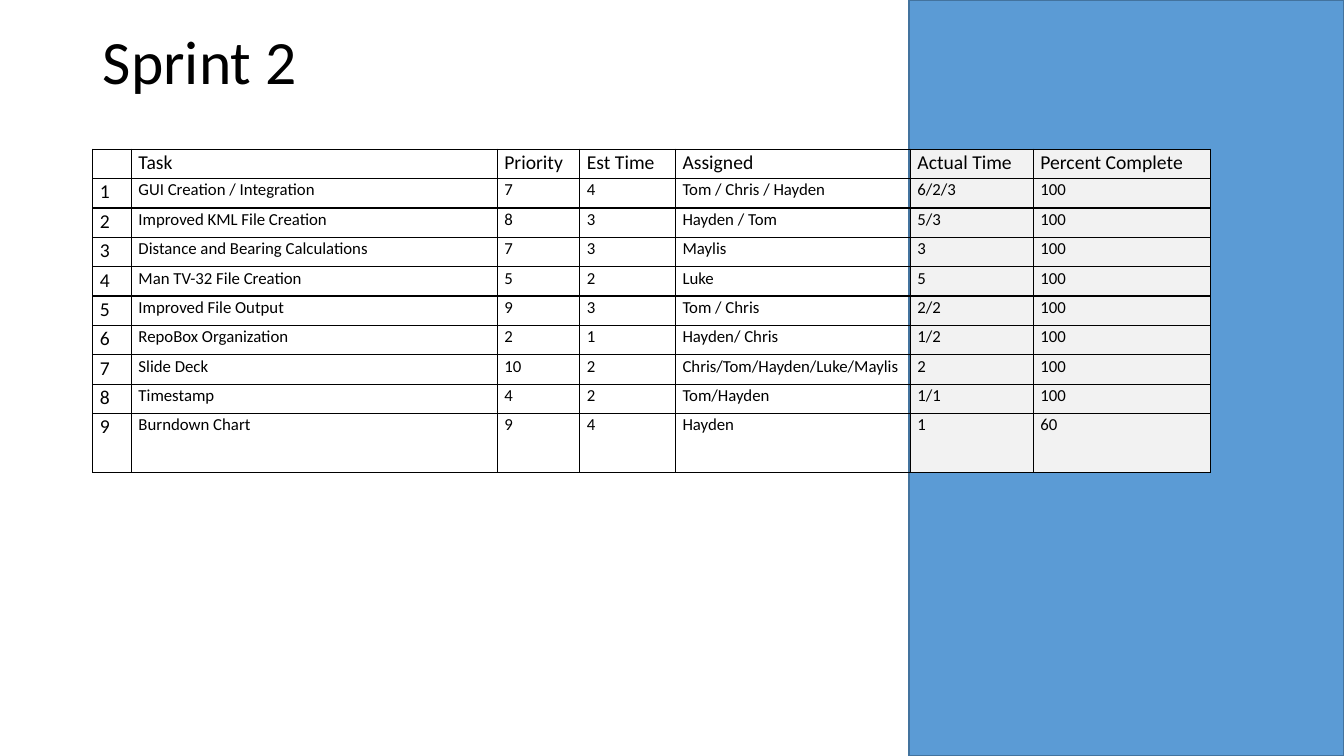
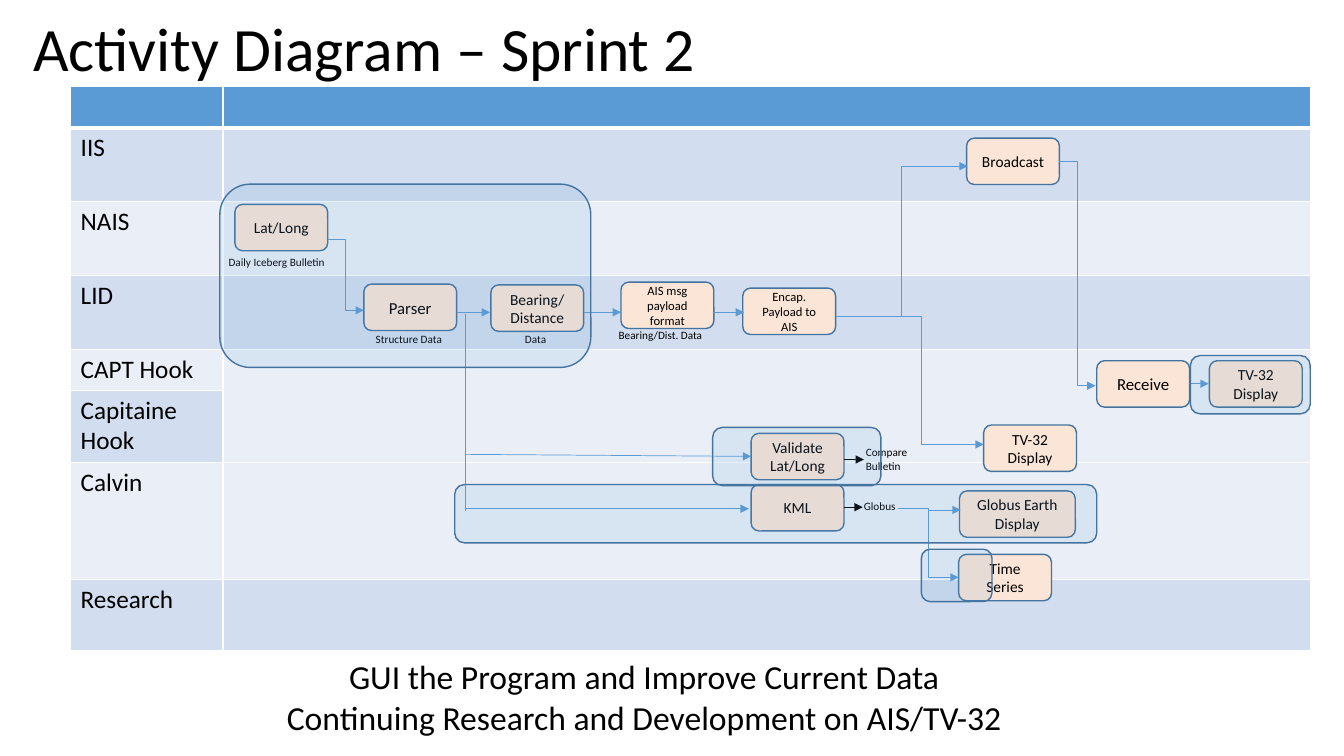
"""Build the two Sprint 2 slides: a task table and an activity diagram."""
from lxml.etree import SubElement
from pptx import Presentation
from pptx.dml.color import RGBColor
from pptx.enum.shapes import MSO_CONNECTOR, MSO_SHAPE
from pptx.enum.text import MSO_ANCHOR, PP_ALIGN
from pptx.oxml.ns import qn
from pptx.util import Cm, Pt

COLORS = {
    "text": "000000",
    "white": "FFFFFF",
    "blue": "5B9BD5",
    "outline": "43739E",
    "grey": "F2F2F2",
    "lane_dark": "D2DEEF",
    "lane_light": "EAEFF7",
    "node": "FBE5D6",
}
FONT = "Calibri"
SLIDE_W, SLIDE_H = 33.87, 19.05

TASK_COLS = [0.97, 9.22, 2.08, 2.41, 5.92, 3.1, 4.47]
TASK_ROW_H = 0.74
TASKS = [
    ("", "Task", "Priority", "Est Time", "Assigned", "Actual Time", "Percent Complete"),
    ("1", "GUI Creation / Integration", "7", "4", "Tom / Chris / Hayden", "6/2/3", "100"),
    ("2", "Improved KML File Creation", "8", "3", "Hayden / Tom", "5/3", "100"),
    ("3", "Distance and Bearing Calculations", "7", "3", "Maylis", "3", "100"),
    ("4", "Man TV-32 File Creation", "5", "2", "Luke", "5", "100"),
    ("5", "Improved File Output", "9", "3", "Tom / Chris", "2/2", "100"),
    ("6", "RepoBox Organization", "2", "1", "Hayden/ Chris", "1/2", "100"),
    ("7", "Slide Deck", "10", "2", "Chris/Tom/Hayden/Luke/Maylis", "2", "100"),
    ("8", "Timestamp", "4", "2", "Tom/Hayden", "1/1", "100"),
    ("9", "Burndown Chart", "9", "4", "Hayden", "1", "60"),
]

LANE_COLS = [3.84, 27.4]
LANES = [
    ("", 1.04, "blue"),
    ("IIS", 1.86, "lane_dark"),
    ("NAIS", 1.86, "lane_light"),
    ("LID", 1.86, "lane_dark"),
    ("CAPT Hook", 1.03, "lane_light"),
    ("Capitaine Hook", 1.82, "lane_dark"),
    ("Calvin", 2.96, "lane_light"),
    ("Research", 1.78, "lane_dark"),
]

NODE_W, NODE_H = 2.34, 1.17
NODES = [
    ("Lat/Long", 4.14, 2.97, NODE_W, 11),
    ("Parser", 7.39, 4.98, NODE_W, 12),
    ("KML", 17.15, 10.03, NODE_W, 11),
    ("Validate\nLat/Long", 17.15, 8.74, NODE_W, 11),
    ("Broadcast", 22.58, 1.3, NODE_W, 11),
    ("Receive", 25.86, 6.91, NODE_W, 12),
    ("Bearing/\nDistance", 10.59, 5, NODE_W, 11),
    ("Encap. Payload to AIS", 16.94, 5.08, NODE_W, 9),
    ("AIS msg payload format", 13.87, 4.93, NODE_W, 9),
    ("TV-32 Display", 28.7, 6.91, NODE_W, 11),
    ("TV-32 Display", 23.01, 8.53, NODE_W, 11),
    ("Time Series", 22.38, 11.79, NODE_W, 11),
    ("Globus Earth Display", 22.4, 10.19, 2.92, 11),
]
ELBOWS = [
    (6.48, 3.86, 7.39, 5.64),
    (19.28, 5.79, 22.61, 2.01),
    (19.89, 5.79, 23.01, 9.02),
    (24.92, 1.88, 25.83, 7.54),
    (20.85, 10.62, 22.38, 12.37),
]
ARROWS = [
    (9.73, 5.69, 10.57, 5.69),
    (12.93, 5.69, 13.87, 5.69),
    (16.18, 5.69, 16.97, 5.69),
    (28.19, 7.49, 28.68, 7.49),
    (9.96, 10.64, 17.09, 10.64),
    (9.96, 9.27, 17.15, 9.32),
    (21.62, 10.67, 22.43, 10.67),
]
NOTE_ARROWS = [(19.48, 10.6, 19.96, 10.6), (19.48, 9.4, 19.99, 9.4)]
TRUNK = (9.96, 5.72, 9.96, 10.69)
LABELS = [
    ("Compare Bulletin", 19.79, 8.92, 1.65, 0.94),
    ("Globus", 19.74, 10.29, 1.65, 0.6),
    ("Daily Iceberg Bulletin", 3.73, 4.14, 3.07, 0.6),
    ("Structure Data", 7.44, 6.07, 2.21, 0.6),
    ("Data", 11.2, 6.07, 1.47, 0.6),
    ("Bearing/Dist. Data", 13.56, 5.97, 2.62, 0.6),
]
ZONES = [
    (3.76, 2.46, 9.35, 4.62),
    (9.68, 10.03, 16.18, 1.47),
    (16.18, 8.59, 4.24, 1.47),
    (21.44, 11.66, 1.78, 1.32),
    (28.22, 6.78, 3.02, 1.47),
]


def rgb(name):
    """Return a named colour."""
    return RGBColor.from_string(COLORS[name])


def write(tf, text, size, align=PP_ALIGN.LEFT, spacing=None):
    """Fill a text frame with evenly styled paragraphs."""
    tf.text = text
    tf.word_wrap = True
    for p in tf.paragraphs:
        p.alignment = align
        p.line_spacing = spacing
        p.font.name = FONT
        p.font.size = Pt(size)
        p.font.color.rgb = rgb("text")


def add_titled_slide(prs, title, box):
    """Add a slide with the shared title style."""
    s = prs.slides.add_slide(prs.slide_layouts[5])
    sp = s.shapes.title
    sp.left, sp.top, sp.width, sp.height = map(Cm, box)
    sp.text_frame.vertical_anchor = MSO_ANCHOR.MIDDLE
    write(sp.text_frame, title, 44, spacing=0.9)
    return s


def add_box(s, kind, box, fill, opacity=None):
    """Add an outlined shape, optionally see-through."""
    sp = s.shapes.add_shape(kind, *map(Cm, box))
    sp.shadow.inherit = False
    sp.fill.solid()
    sp.fill.fore_color.rgb = rgb(fill)
    sp.line.color.rgb = rgb("outline")
    sp.line.width = Pt(1)
    if opacity:
        clr = sp.fill._xPr.find(qn("a:solidFill"))[0]
        SubElement(clr, qn("a:alpha"), val=str(opacity * 1000))
    return sp


def add_text(s, text, box, size, align=PP_ALIGN.LEFT):
    """Add a wrapped text box."""
    write(s.shapes.add_textbox(*map(Cm, box)).text_frame, text, size, align)


def add_line(s, origin, ends, color="blue", kind=MSO_CONNECTOR.STRAIGHT, arrow=True):
    """Add a thin connector, its ends relative to the origin."""
    x, y = origin
    x1, y1, x2, y2 = ends
    line = s.shapes.add_connector(kind, Cm(x + x1), Cm(y + y1), Cm(x + x2), Cm(y + y2))
    line.line.color.rgb = rgb(color)
    line.line.width = Pt(0.5)
    if arrow:
        SubElement(line.line._get_or_add_ln(), qn("a:tailEnd"), type="triangle")
    SubElement(line._element.spPr, qn("a:effectLst"))


def style_cell(cell, border, fill=None, bottom=1):
    """Set the borders and the fill of a table cell."""
    tcPr = cell._tc.get_or_add_tcPr()
    for side, width in (("L", 1), ("R", 1), ("T", 1), ("B", bottom)):
        ln = SubElement(tcPr, qn(f"a:ln{side}"), w=str(Pt(width)))
        SubElement(SubElement(ln, qn("a:solidFill")), qn("a:srgbClr"), val=COLORS[border])
    if fill:
        cell.fill.solid()
        cell.fill.fore_color.rgb = rgb(fill)
    else:
        cell.fill.background()


def add_grid(s, left, top, cols, rows):
    """Add a plain table with the given column and row sizes."""
    frame = s.shapes.add_table(len(rows), len(cols), Cm(left), Cm(top),
                               Cm(sum(cols)), Cm(sum(rows)))
    table = frame.table
    table.first_row = table.horz_banding = False
    for col, width in zip(table.columns, cols):
        col.width = Cm(width)
    for row, height in zip(table.rows, rows):
        row.height = Cm(height)
    return table


def add_task_table(s, left, top):
    """Add the sprint task table."""
    rows = [TASK_ROW_H] * (len(TASKS) - 1) + [2 * TASK_ROW_H]
    table = add_grid(s, left, top, TASK_COLS, rows)
    for i, task in enumerate(TASKS):
        for j, text in enumerate(task):
            cell = table.cell(i, j)
            cell.margin_left = cell.margin_right = Cm(0.18)
            cell.margin_top = cell.margin_bottom = 0
            write(cell.text_frame, text, 14 if i == 0 or j == 0 else 12, spacing=1.07)
            style_cell(cell, "text", "grey" if j > 4 else None)


def add_lanes(s, left, top):
    """Add the swimlane table behind the diagram."""
    table = add_grid(s, left, top, LANE_COLS, [height for _, height, _ in LANES])
    for i, (name, _, fill) in enumerate(LANES):
        write(table.cell(i, 0).text_frame, name, 18)
        for j in range(len(LANE_COLS)):
            style_cell(table.cell(i, j), "white", fill, bottom=1 if i else 3)
    table.cell(4, 1).merge(table.cell(5, 1))


def add_diagram(s, left, top):
    """Add the nodes, flows, labels and zones over the swimlanes."""
    origin = left, top
    for text, x, y, w, size in NODES:
        sp = add_box(s, MSO_SHAPE.ROUNDED_RECTANGLE, (left + x, top + y, w, NODE_H), "node")
        sp.text_frame.vertical_anchor = MSO_ANCHOR.MIDDLE
        write(sp.text_frame, text, size, PP_ALIGN.CENTER)
    for ends in ELBOWS:
        add_line(s, origin, ends, kind=MSO_CONNECTOR.ELBOW)
    for ends in ARROWS:
        add_line(s, origin, ends)
    for ends in NOTE_ARROWS:
        add_line(s, origin, ends, "text")
    add_line(s, origin, TRUNK, arrow=False)
    for text, x, y, w, h in LABELS:
        add_text(s, text, (left + x, top + y, w, h), 8)
    for x, y, w, h in ZONES:
        add_box(s, MSO_SHAPE.ROUNDED_RECTANGLE, (left + x, top + y, w, h), "blue", 13)


def main():
    """Build and save the presentation."""
    prs = Presentation()
    prs.slide_width, prs.slide_height = Cm(SLIDE_W), Cm(SLIDE_H)

    s = add_titled_slide(prs, "Sprint 2", (2.34, 0.56, 29.21, 2.11))
    band_left = 22.91
    band = add_box(s, MSO_SHAPE.RECTANGLE, (band_left, 0, SLIDE_W - band_left, SLIDE_H), "blue")
    s.shapes._spTree.insert(2, band._element)
    add_task_table(s, 2.34, 3.76)

    s = add_titled_slide(prs, "Activity Diagram – Sprint 2", (0.58, 0.18, 29.21, 2.26))
    add_lanes(s, 1.78, 2.18)
    add_diagram(s, 1.78, 2.18)
    add_text(s, "GUI the Program and Improve Current Data\n"
                "Continuing Research and Development on AIS/TV-32",
             (3.89, 16.41, 24.69, 2.31), 24, PP_ALIGN.CENTER)

    prs.save("out.pptx")


if __name__ == "__main__":
    main()
